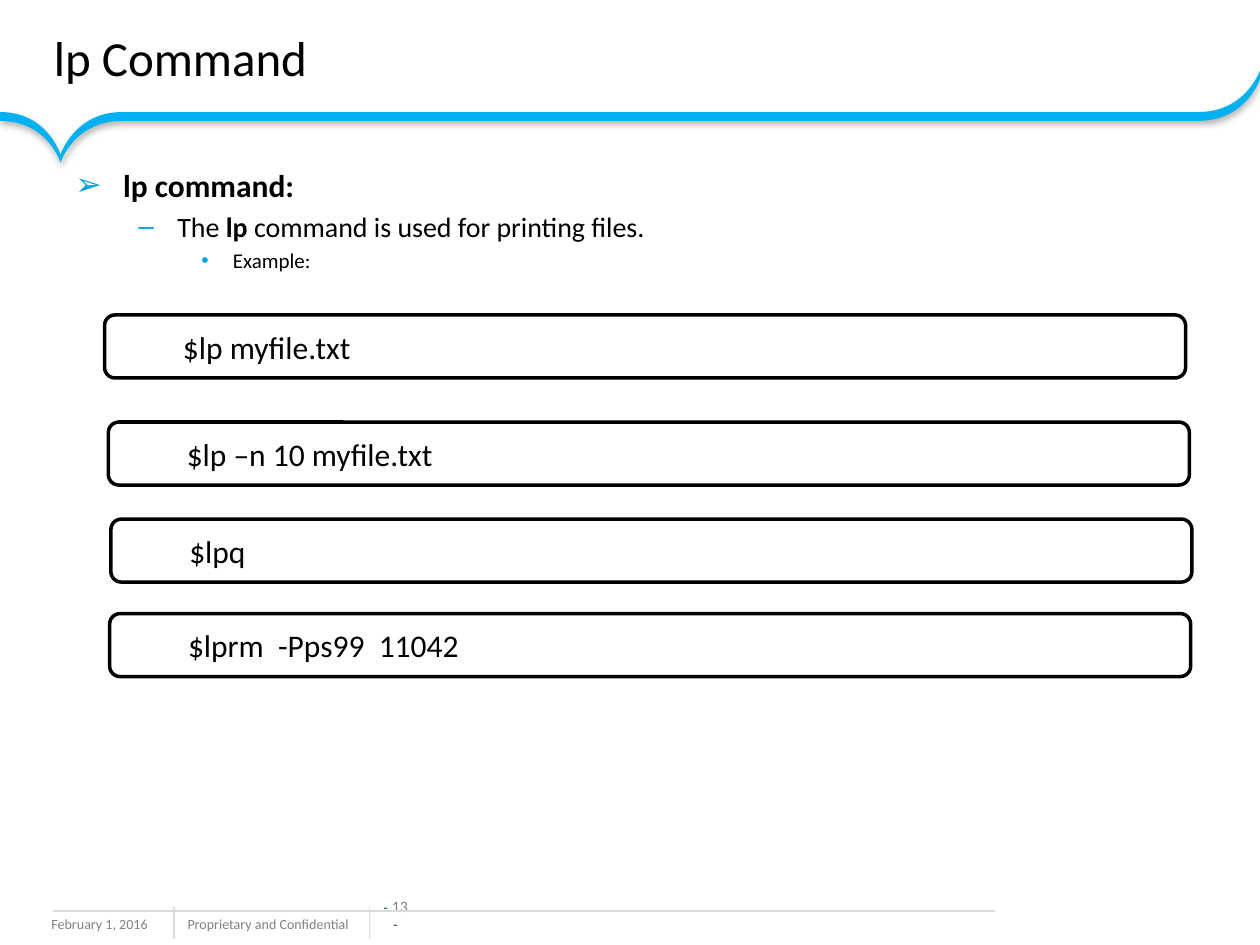
from lxml.etree import SubElement
from pptx import Presentation
from pptx.dml.color import RGBColor
from pptx.enum.shapes import MSO_CONNECTOR, MSO_SHAPE
from pptx.enum.text import MSO_ANCHOR, PP_ALIGN
from pptx.oxml.ns import qn
from pptx.util import Inches, Pt

COLORS = {
    "ink": "000000",
    "paper": "FFFFFF",
    "ribbon": "00B0F0",
    "bullet": "00A1E4",
    "footer": "808080",
    "rule": "D9D9D9",
    "dash": "1F497D",
}

# Ribbon outline in hundredths of an inch: start, then (control, control, end)
RIBBON_TOP = 56
RIBBON_START = (951, 89)
RIBBON_CURVES = [
    ((97, 89), (97, 89), (97, 89)),
    ((59, 89), (48, 123), (48, 123)),
    ((48, 123), (38, 89), (0, 89)),
    ((0, 96), (0, 96), (0, 96)),
    ((38, 96), (48, 129), (48, 129)),
    ((48, 129), (59, 96), (97, 96)),
    ((951, 96), (951, 96), (951, 96)),
    ((989, 96), (1000, 63), (1000, 63)),
    ((1000, 56), (1000, 56), (1000, 56)),
    ((1000, 56), (989, 89), (951, 89)),
]

# Command, left, top
COMMANDS = [
    ("$lp myfile.txt", 0.83, 2.5),
    ("$lp –n 10 myfile.txt", 0.86, 3.35),
    ("$lpq", 0.88, 4.12),
    ("$lprm  -Pps99  11042", 0.87, 4.87),
]


def color(name):
    return RGBColor.from_string(COLORS[name])


def add_run(paragraph, text, size=18, ink="ink", font="Calibri", bold=False):
    run = paragraph.add_run()
    run.text = text
    run.font.size = Pt(size)
    run.font.name = font
    run.font.bold = bold
    run.font.color.rgb = color(ink)


def set_indent(paragraph, left, first=0):
    properties = paragraph._p.get_or_add_pPr()
    properties.set("marL", str(Inches(left)))
    properties.set("indent", str(Inches(first)))
    return properties


def add_text_frame(slide, left, top, width, height, anchor=MSO_ANCHOR.TOP, wrap=True):
    box = slide.shapes.add_textbox(Inches(left), Inches(top), Inches(width), Inches(height))
    frame = box.text_frame
    frame.word_wrap = wrap
    frame.vertical_anchor = anchor
    return frame


def add_bullet(paragraph, level, mark, left, hang, runs, size):
    paragraph.level = level
    properties = set_indent(paragraph, left, -hang)
    spacing = SubElement(properties, qn("a:spcBef"))
    SubElement(spacing, qn("a:spcPct"), val="20000")
    bullet_color = SubElement(properties, qn("a:buClr"))
    SubElement(bullet_color, qn("a:srgbClr"), val=COLORS["bullet"])
    SubElement(properties, qn("a:buFont"), typeface="Arial")
    SubElement(properties, qn("a:buChar"), char=mark)
    for text, bold in runs:
        add_run(paragraph, text, size=size, bold=bold)


def add_rule(slide, x1, y1, x2, y2):
    rule = slide.shapes.add_connector(
        MSO_CONNECTOR.STRAIGHT, Inches(x1), Inches(y1), Inches(x2), Inches(y2))
    rule.line.color.rgb = color("rule")
    rule.line.width = Pt(0.75)
    SubElement(rule._element.spPr, qn("a:effectLst"))


def bend_segments(shape, curves, top):
    """Turn each straight segment of the outline into its cubic curve."""
    segments = list(shape._element.spPr.iter(qn("a:lnTo")))
    for segment, curve in zip(segments, curves):
        outline = segment.getparent()
        bend = SubElement(outline, qn("a:cubicBezTo"))
        for x, y in curve:
            SubElement(bend, qn("a:pt"), x=str(x), y=str(y - top))
        outline.replace(segment, bend)


def add_ribbon(slide):
    builder = slide.shapes.build_freeform(*RIBBON_START, scale=Inches(0.01))
    builder.add_line_segments([curve[-1] for curve in RIBBON_CURVES], close=True)
    ribbon = builder.convert_to_shape()
    bend_segments(ribbon, RIBBON_CURVES, RIBBON_TOP)
    ribbon.fill.solid()
    ribbon.fill.fore_color.rgb = color("ribbon")
    ribbon.line.fill.background()
    # Soft shadow straight below
    effects = SubElement(ribbon._element.spPr, qn("a:effectLst"))
    shadow = SubElement(effects, qn("a:outerShdw"), blurRad=str(Pt(4)), dist=str(Pt(2)),
                        dir="5400000", algn="t", rotWithShape="0")
    tint = SubElement(shadow, qn("a:srgbClr"), val=COLORS["ink"])
    SubElement(tint, qn("a:alpha"), val="31000")


def add_footer(slide):
    for text, left, width, wrap in [("February 1, 2016", 0.31, 1.33, True),
                                    ("Proprietary and Confidential", 1.39, 1.57, False)]:
        label = add_text_frame(slide, left, 7.22, width, 0.25, wrap=wrap)
        add_run(label.paragraphs[0], text, size=8, ink="footer")

    page = add_text_frame(slide, 3.01, 7.25, 0.26, 0.15, anchor=MSO_ANCHOR.BOTTOM)
    page.margin_left = page.margin_right = page.margin_top = page.margin_bottom = 0
    number = page.paragraphs[0]
    number.alignment = PP_ALIGN.CENTER
    add_run(number, "- ", size=8, ink="dash", font="Arial")
    add_run(number, "13 ", size=9, ink="footer")
    add_run(number, "-", size=8, ink="dash", font="Arial")

    for x in (1.38, 2.93):
        add_rule(slide, x, 7.2, x, 7.45)
    add_rule(slide, 7.9, 7.23, 0.42, 7.23)


def add_command(slide, command, left, top):
    box = slide.shapes.add_shape(MSO_SHAPE.ROUNDED_RECTANGLE, Inches(left), Inches(top),
                                 Inches(8.58), Inches(0.5))
    box.shadow.inherit = False
    box.fill.solid()
    box.fill.fore_color.rgb = color("paper")
    box.line.color.rgb = color("ink")
    box.line.width = Pt(2)
    box.text_frame.vertical_anchor = MSO_ANCHOR.MIDDLE
    line = box.text_frame.paragraphs[0]
    line.alignment = PP_ALIGN.LEFT
    line.level = 1
    set_indent(line, 0.5)
    add_run(line, command)


def main():
    deck = Presentation()
    deck.slide_width, deck.slide_height = Inches(10), Inches(7.5)
    slide = deck.slides.add_slide(deck.slide_layouts[6])

    # Frame of the page
    add_footer(slide)
    add_ribbon(slide)

    # Title
    title = add_text_frame(slide, 0.33, 0.02, 9, 0.87, anchor=MSO_ANCHOR.MIDDLE)
    add_run(title.paragraphs[0], "lp Command", size=28)

    # Explanation
    body = add_text_frame(slide, 0.5, 1.27, 9, 5.43)
    usage = [("The ", False), ("lp ", True), ("command is used for printing files.", False)]
    add_bullet(body.paragraphs[0], 0, "➢", 0.38, 0.38, [("lp command:", True)], 18)
    add_bullet(body.add_paragraph(), 1, "–", 0.81, 0.31, usage, 16)
    add_bullet(body.add_paragraph(), 2, "•", 1.25, 0.25, [("Example:", False)], 12)

    # Example commands
    for command, left, top in COMMANDS:
        add_command(slide, command, left, top)

    deck.save("out.pptx")


if __name__ == "__main__":
    main()
